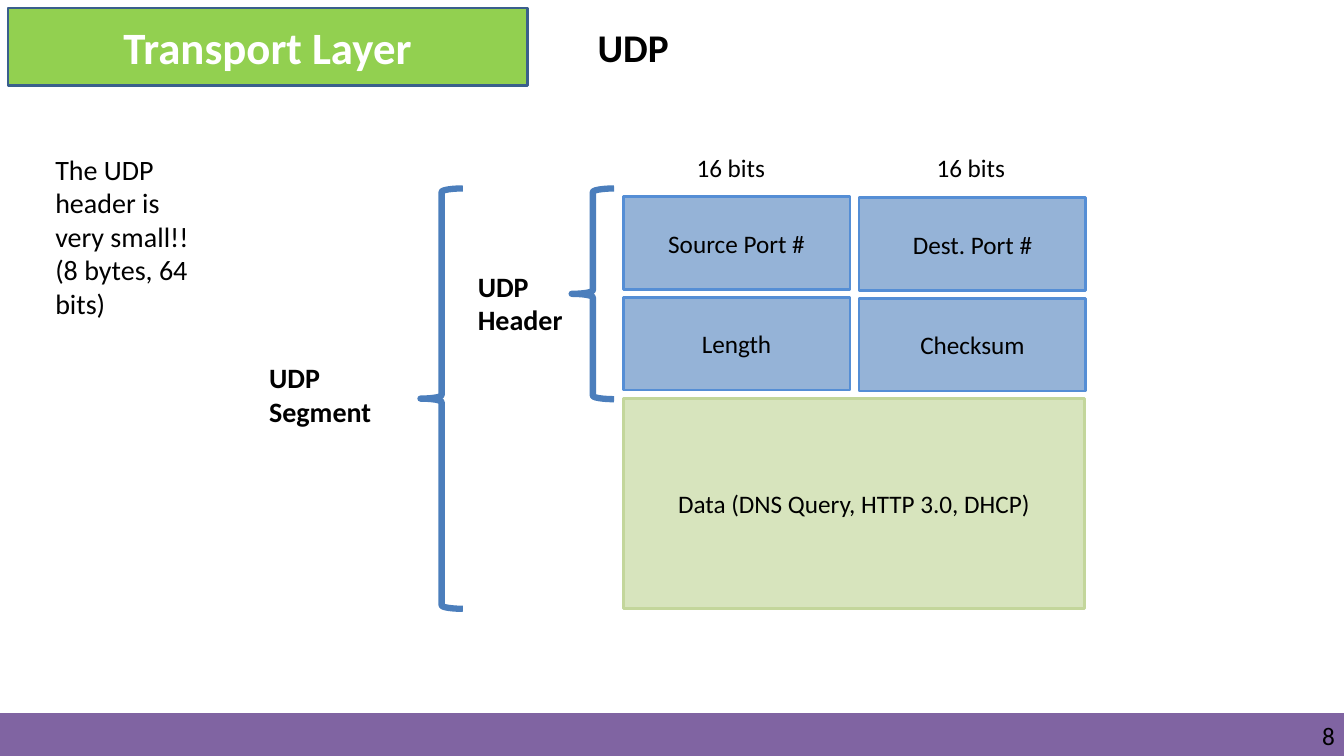
"""Build the slide that explains the layout of a UDP segment."""
from pptx import Presentation
from pptx.dml.color import RGBColor
from pptx.enum.shapes import MSO_SHAPE
from pptx.enum.text import MSO_ANCHOR, PP_ALIGN
from pptx.util import Inches, Pt

RECTANGLE = MSO_SHAPE.RECTANGLE
LEFT_BRACE = MSO_SHAPE.LEFT_BRACE
LEFT, CENTER, RIGHT = PP_ALIGN.LEFT, PP_ALIGN.CENTER, PP_ALIGN.RIGHT
TOP, MIDDLE = MSO_ANCHOR.TOP, MSO_ANCHOR.MIDDLE

BLACK = RGBColor(0x00, 0x00, 0x00)
WHITE = RGBColor(0xFF, 0xFF, 0xFF)
PURPLE = RGBColor(0x80, 0x64, 0xA2)
GREEN = RGBColor(0x92, 0xD0, 0x50)
NAVY = RGBColor(0x3A, 0x5F, 0x8C)
HEADER_FILL = RGBColor(0x95, 0xB3, 0xD7)
HEADER_LINE = RGBColor(0x55, 0x8E, 0xD5)
DATA_FILL = RGBColor(0xD7, 0xE4, 0xBD)
DATA_LINE = RGBColor(0xC3, 0xD6, 0x9B)
BRACE_BLUE = RGBColor(0x4B, 0x7E, 0xBC)

presentation = Presentation()
presentation.slide_width = Inches(13.33)
presentation.slide_height = Inches(7.5)
slide = presentation.slides.add_slide(presentation.slide_layouts[6])


def add_text(text, box, shape=None, size=18, bold=False, color=BLACK,
             align=LEFT, anchor=TOP, wrap=True, inset=None):
    """Write text into the given shape, or into a new text box."""
    if shape is None:
        shape = slide.shapes.add_textbox(*map(Inches, box))
    frame = shape.text_frame
    frame.word_wrap = wrap
    frame.vertical_anchor = anchor
    if inset is not None:
        frame.margin_left = frame.margin_right = Inches(inset)
        frame.margin_top = frame.margin_bottom = Inches(inset)
    paragraph = frame.paragraphs[0]
    paragraph.alignment = align
    run = paragraph.add_run()
    run.text = text
    run.font.name = "Calibri"
    run.font.size = Pt(size)
    run.font.bold = bold
    run.font.color.rgb = color


def add_outlined(preset, box, line, width=2, fill=None):
    """Add a preset shape with an outline and an optional fill."""
    shape = slide.shapes.add_shape(preset, *map(Inches, box))
    shape.shadow.inherit = False
    if fill is None:
        shape.fill.background()
    else:
        shape.fill.solid()
        shape.fill.fore_color.rgb = fill
    shape.line.color.rgb = line
    shape.line.width = Pt(width)
    return shape


add_outlined(RECTANGLE, (0, 7.08, 13.33, 0.42), PURPLE, width=1, fill=PURPLE)
add_text("8", (10.17, 7.15, 3.07, 0.3), align=RIGHT, inset=0)

title_box = (0.08, 0.08, 5.15, 0.77)
title = add_outlined(RECTANGLE, title_box, NAVY, fill=GREEN)
add_text("Transport Layer", title_box, shape=title, size=32, bold=True,
         color=WHITE, align=CENTER, anchor=MIDDLE)
add_text("UDP", (5.83, 0.18, 1.03, 0.57), size=28, bold=True, wrap=False)

segment_fields = [
    ("Source Port #", (6.18, 1.95, 2.25, 0.92), HEADER_FILL, HEADER_LINE),
    ("Dest. Port #", (8.52, 1.96, 2.25, 0.92), HEADER_FILL, HEADER_LINE),
    ("Length", (6.18, 2.95, 2.25, 0.92), HEADER_FILL, HEADER_LINE),
    ("Checksum", (8.52, 2.96, 2.25, 0.92), HEADER_FILL, HEADER_LINE),
    ("Data (DNS Query, HTTP 3.0, DHCP)", (6.18, 3.95, 4.58, 2.09),
     DATA_FILL, DATA_LINE),
]
for label, box, fill, line in segment_fields:
    field = add_outlined(RECTANGLE, box, line, fill=fill)
    add_text(label, box, shape=field, align=CENTER, anchor=MIDDLE)

for column_left in (6.81, 9.19):
    add_text("16 bits", (column_left, 1.46, 0.95, 0.4), wrap=False)

braces = [
    ("UDP Header", (4.64, 2.62, 1.15, 0.77), (5.67, 1.87, 0.42, 2.09)),
    ("UDP Segment", (2.57, 3.53, 1.59, 0.77), (4.17, 1.87, 0.42, 4.17)),
]
for label, label_box, brace_box in braces:
    add_outlined(LEFT_BRACE, brace_box, BRACE_BLUE, width=4.5)
    add_text(label, label_box, size=20, bold=True)

add_text("The UDP header is very small!! (8 bytes, 64 bits)",
         (0.45, 1.46, 1.67, 1.78), size=20)

presentation.save("out.pptx")
